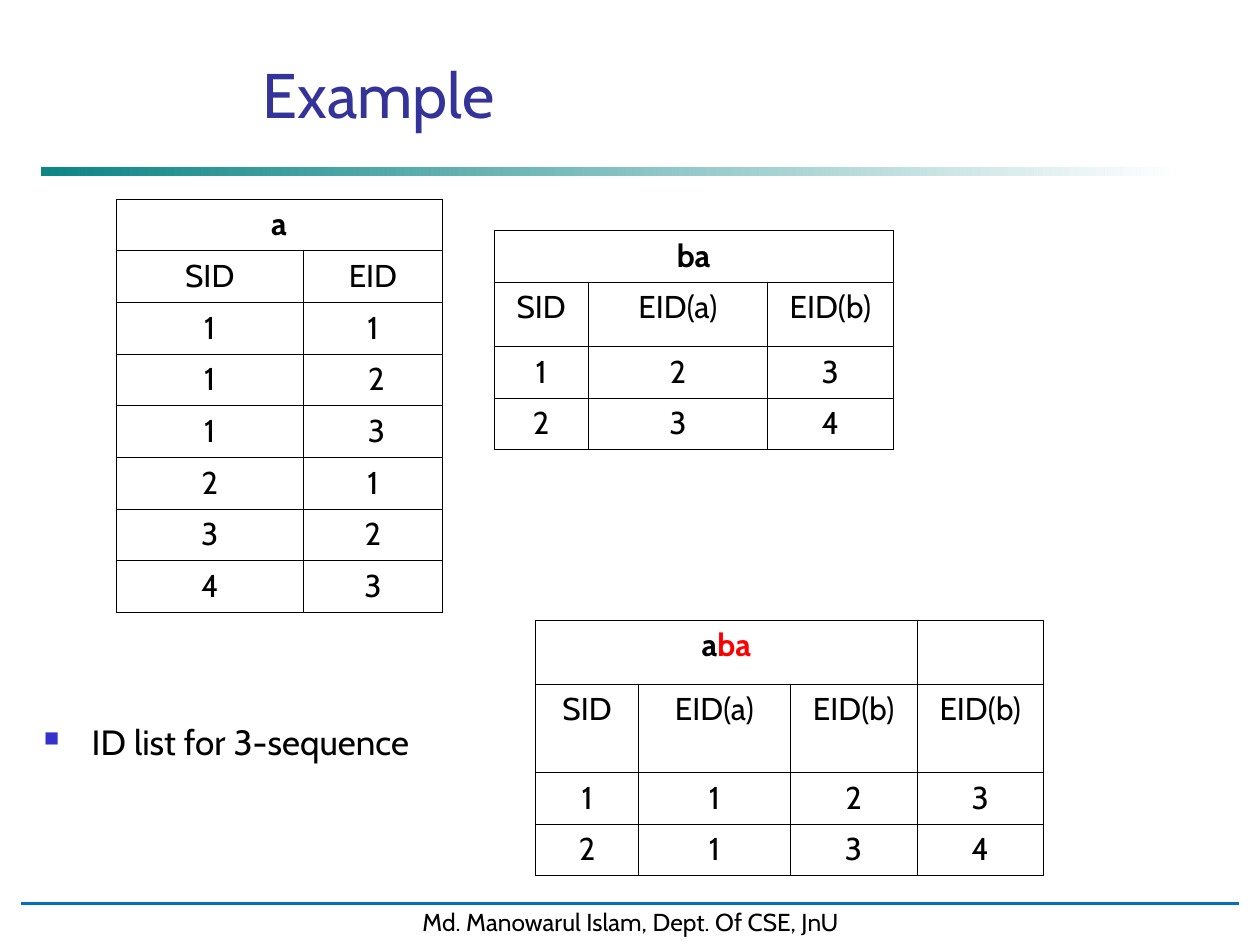
import dataclasses

import lxml.etree
import pptx
import pptx.dml.color
import pptx.enum.shapes
import pptx.enum.text
import pptx.oxml
import pptx.oxml.ns
import pptx.util

Inches = pptx.util.Inches
Pt = pptx.util.Pt
qn = pptx.oxml.ns.qn
CENTER = pptx.enum.text.PP_ALIGN.CENTER


@dataclasses.dataclass
class Theme:
    font: str = "Cabin"
    text: str = "000000"
    title: str = "333399"
    bullet: str = "3333CC"
    accent: str = "FF0000"
    paper: str = "FFFFFF"
    teal: str = "008080"
    rule: str = "0070C0"
    title_size: float = 36
    body_size: float = 20
    table_size: float = 18
    footer_size: float = 14
    border: float = 0.45


def rgb(color):
    return pptx.dml.color.RGBColor.from_string(color)


class Deck:
    def __init__(self, theme, s):
        self.theme = theme
        self.s = s

    def run(self, p, text, size, color=None, bold=False):
        r = p.add_run()
        r.text = text
        r.font.name = self.theme.font
        r.font.size = Pt(size)
        r.font.bold = bold
        r.font.color.rgb = rgb(color or self.theme.text)

    def title(self, text, x, y, w, h):
        sp = self.s.shapes.title
        sp.left, sp.top, sp.width, sp.height = map(Inches, (x, y, w, h))
        tf = sp.text_frame
        tf.auto_size = pptx.enum.text.MSO_AUTO_SIZE.NONE
        tf.vertical_anchor = pptx.enum.text.MSO_ANCHOR.BOTTOM
        p = tf.paragraphs[0]
        p.alignment = CENTER
        self.run(p, text, self.theme.title_size, self.theme.title)

    def rect(self, x, y, w, h):
        sp = self.s.shapes.add_shape(
            pptx.enum.shapes.MSO_SHAPE.RECTANGLE, *map(Inches, (x, y, w, h)))
        sp.shadow.inherit = False
        return sp

    def gradient_bar(self, x, y, w, h):
        sp = self.rect(x, y, w, h)
        sp.line.fill.background()
        sp.fill.gradient()
        sp.fill.gradient_angle = 0
        for stop, color, position in zip(
                sp.fill.gradient_stops, (self.theme.teal, self.theme.paper), (0, 1)):
            stop.color.rgb = rgb(color)
            stop.position = position
        start = sp.fill.gradient_stops[0].color.rgb
        for color in sp._element.spPr.iter(qn("a:srgbClr")):
            if color.get("val") == str(start):
                lxml.etree.SubElement(color, qn("a:alpha"), val="95000")

    def footer(self, text, x, y, w, h):
        sp = self.rect(x, y, w, h)
        sp.fill.solid()
        sp.fill.fore_color.rgb = rgb(self.theme.paper)
        sp.line.color.rgb = rgb(self.theme.paper)
        sp.line.width = Pt(2)
        tf = sp.text_frame
        tf.word_wrap = False
        tf.vertical_anchor = pptx.enum.text.MSO_ANCHOR.TOP
        p = tf.paragraphs[0]
        p.alignment = CENTER
        self.run(p, text, self.theme.footer_size)

    def rule(self, x1, y1, x2, y2):
        line = self.s.shapes.add_connector(
            pptx.enum.shapes.MSO_CONNECTOR.STRAIGHT, *map(Inches, (x1, y1, x2, y2)))
        line.line.color.rgb = rgb(self.theme.rule)
        line.line.width = Pt(1.75)
        lxml.etree.SubElement(line._element.spPr, qn("a:effectLst"))

    def bullet(self, text, x, y, w, h):
        tf = self.s.shapes.add_textbox(*map(Inches, (x, y, w, h))).text_frame
        tf.word_wrap = True
        p = tf.paragraphs[0]
        p.space_before = Pt(5)
        pPr = p._p.get_or_add_pPr()
        pPr.set("marL", str(Inches(0.38)))
        pPr.set("indent", str(Inches(-0.38)))
        color = lxml.etree.SubElement(pPr, qn("a:buClr"))
        lxml.etree.SubElement(color, qn("a:srgbClr"), val=self.theme.bullet)
        lxml.etree.SubElement(pPr, qn("a:buSzPct"), val="60000")
        lxml.etree.SubElement(pPr, qn("a:buChar"), char="■")
        self.run(p, text, self.theme.body_size)

    def cell(self, cell, runs, bold=False):
        cell.fill.solid()
        cell.fill.fore_color.rgb = rgb(self.theme.paper)
        tcPr = cell._tc.get_or_add_tcPr()
        for i, side in enumerate(("lnL", "lnR", "lnT", "lnB")):
            ln = pptx.oxml.parse_xml(
                f'<a:{side} {pptx.oxml.ns.nsdecls("a")} w="{Pt(self.theme.border)}">'
                f'<a:solidFill><a:srgbClr val="{self.theme.text}"/></a:solidFill></a:{side}>')
            tcPr.insert(i, ln)
        p = cell.text_frame.paragraphs[0]
        p.alignment = CENTER
        for text, color in runs:
            self.run(p, text, self.theme.table_size, color, bold)

    def table(self, x, y, widths, heights, heading, span, rows):
        tbl = self.s.shapes.add_table(
            len(heights), len(widths),
            *map(Inches, (x, y, sum(widths), sum(heights)))).table
        tbl.first_row = tbl.horz_banding = False
        for col, width in zip(tbl.columns, widths):
            col.width = Inches(width)
        for row, height in zip(tbl.rows, heights):
            row.height = Inches(height)
        tbl.cell(0, 0).merge(tbl.cell(0, span - 1))
        for j in range(len(widths)):
            self.cell(tbl.cell(0, j), heading if j == 0 else [], bold=True)
        for i, row in enumerate(rows, 1):
            for j, text in enumerate(row):
                self.cell(tbl.cell(i, j), [(text, None)])


def main():
    prs = pptx.Presentation()
    prs.slide_width, prs.slide_height = Inches(10), Inches(7.5)
    theme = Theme()
    d = Deck(theme, prs.slides.add_slide(prs.slide_layouts[5]))

    d.gradient_bar(0.33, 1.33, 9, 0.06)
    d.footer("Md. Manowarul Islam, Dept. Of CSE, JnU", 0.17, 7.15, 9.67, 0.33)
    d.rule(0.17, 7.17, 9.83, 7.17)
    d.title("Example", 0.67, 0.42, 4.67, 0.67)
    d.table(0.92, 1.58, [1.49, 1.1], [0.41] * 8, [("a", None)], 2,
            [("SID", "EID"), ("1", "1"), ("1", " 2"), ("1", " 3"),
             ("2", "1"), ("3", "2"), ("4", "3")])
    d.table(4.25, 4.92, [0.82, 1.2, 1.01, 1], [0.51, 0.7, 0.41, 0.41],
            [("a", None), ("ba", theme.accent)], 3,
            [("SID", "EID(a)", "EID(b)", "EID(b)"),
             ("1", "1", "2", "3"), ("2", "1", "3", "4")])
    d.bullet("ID list for 3-sequence", 0.25, 5.67, 3.5, 0.83)
    d.table(3.92, 1.83, [0.75, 1.42, 1], [0.41, 0.51, 0.41, 0.41],
            [("ba", None)], 3,
            [("SID", "EID(a)", "EID(b)"), ("1", "2", "3"), ("2", "3", "4")])
    prs.save("out.pptx")


if __name__ == "__main__":
    main()
